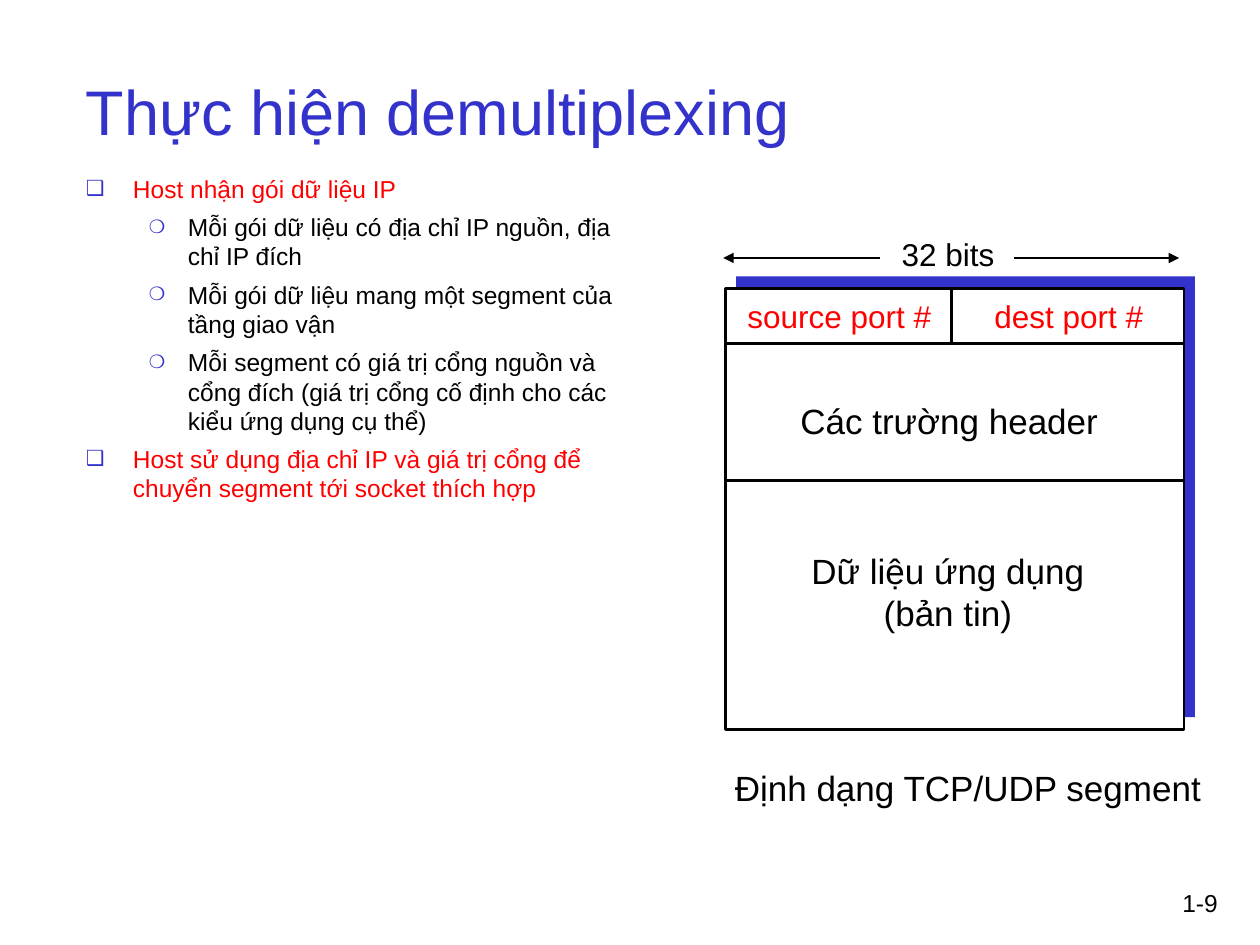
from lxml import etree
from pptx import Presentation
from pptx.dml.color import RGBColor
from pptx.enum.shapes import MSO_CONNECTOR, MSO_SHAPE
from pptx.enum.text import MSO_ANCHOR, MSO_AUTO_SIZE, PP_ALIGN
from pptx.oxml.ns import qn
from pptx.util import Cm, Pt

BLUE = RGBColor(0x33, 0x33, 0xCC)
RED = RGBColor(0xFF, 0x00, 0x00)
BLACK = RGBColor(0x00, 0x00, 0x00)
WHITE = RGBColor(0xFF, 0xFF, 0xFF)
LEFT, CENTER, RIGHT = PP_ALIGN.LEFT, PP_ALIGN.CENTER, PP_ALIGN.RIGHT
TOP, MIDDLE = MSO_ANCHOR.TOP, MSO_ANCHOR.MIDDLE
FIXED, GROW = MSO_AUTO_SIZE.NONE, MSO_AUTO_SIZE.SHAPE_TO_FIT_TEXT
STRAIGHT = MSO_CONNECTOR.STRAIGHT
RECTANGLE = MSO_SHAPE.RECTANGLE

BULLET_LEVELS = [
    {"char": "❑", "percent": 85, "margin": 0.95, "hanging": 0.95, "color": RED},
    {"char": "❍", "percent": 75, "margin": 2.06, "hanging": 0.79, "color": BLACK},
]


class SlideBuilder:
    font_name = "Arial"
    line_width = Pt(1.5)

    def __init__(self, slide):
        self.slide = slide

    def add_run(self, paragraph, text, size, color):
        run = paragraph.add_run()
        run.text = text
        for attribute, value in {"name": self.font_name, "size": Pt(size)}.items():
            setattr(run.font, attribute, value)
        run.font.color.rgb = color

    def frame(self, left, top, width, height, wrap=True, anchor=TOP):
        box = self.slide.shapes.add_textbox(Cm(left), Cm(top), Cm(width), Cm(height))
        frame_format = {
            "word_wrap": wrap,
            "auto_size": FIXED if wrap else GROW,
            "vertical_anchor": anchor,
        }
        for attribute, value in frame_format.items():
            setattr(box.text_frame, attribute, value)
        return box.text_frame

    def text(self, lines, area, size, color=BLACK, align=CENTER, **frame_format):
        frame = self.frame(*area, **frame_format)
        for index, line in enumerate(lines):
            paragraph = frame.add_paragraph() if index else frame.paragraphs[0]
            paragraph.alignment = align
            self.add_run(paragraph, line, size, color)

    def bullets(self, items, area, size):
        frame = self.frame(*area)
        for index, (level, line) in enumerate(items):
            style = BULLET_LEVELS[level]
            paragraph = frame.add_paragraph() if index else frame.paragraphs[0]
            paragraph.level = level
            properties = paragraph._p.get_or_add_pPr()
            properties.set("marL", str(Cm(style["margin"])))
            properties.set("indent", str(-Cm(style["hanging"])))
            bullet_color = etree.SubElement(properties, qn("a:buClr"))
            etree.SubElement(bullet_color, qn("a:srgbClr"), val=str(BLUE))
            etree.SubElement(properties, qn("a:buSzPct"), val=str(style["percent"] * 1000))
            etree.SubElement(properties, qn("a:buFont"), typeface=self.font_name)
            etree.SubElement(properties, qn("a:buChar"), char=style["char"])
            if index:
                paragraph.space_before = Pt(5)
            self.add_run(paragraph, line, size, style["color"])

    def rectangle(self, left, top, width, height, fill, outline=None):
        shape = self.slide.shapes.add_shape(
            RECTANGLE, Cm(left), Cm(top), Cm(width), Cm(height))
        shape.shadow.inherit = False
        shape.fill.solid()
        shape.fill.fore_color.rgb = fill
        if outline is None:
            shape.line.fill.background()
        else:
            shape.line.color.rgb = outline
            shape.line.width = self.line_width

    def line(self, x1, y1, x2, y2, arrow=False):
        connector = self.slide.shapes.add_connector(
            STRAIGHT, Cm(x1), Cm(y1), Cm(x2), Cm(y2))
        connector.line.color.rgb = BLACK
        connector.line.width = self.line_width
        if arrow:
            etree.SubElement(connector.line._ln, qn("a:tailEnd"), type="triangle")
        etree.SubElement(connector._element.spPr, qn("a:effectLst"))


def main():
    presentation = Presentation()
    presentation.slide_width, presentation.slide_height = Cm(25.4), Cm(19.05)
    builder = SlideBuilder(presentation.slides.add_slide(presentation.slide_layouts[6]))

    builder.text(["1-9"], (23.07, 17.78, 1.73, 1.27), 14, align=RIGHT)
    builder.text(["Thực hiện demultiplexing"], (1.48, 0.64, 21.59, 3.18), 36, BLUE,
                 LEFT, anchor=MIDDLE)
    builder.bullets([
        (0, "Host nhận gói dữ liệu IP"),
        (1, "Mỗi gói dữ liệu có địa chỉ IP nguồn, địa chỉ IP đích"),
        (1, "Mỗi gói dữ liệu mang một segment của tầng giao vận"),
        (1, "Mỗi segment có giá trị cổng nguồn và cổng đích "
            "(giá trị cổng cố định cho các kiểu ứng dụng cụ thể)"),
        (0, "Host sử dụng địa chỉ IP và giá trị cổng để "
            "chuyển segment tới socket thích hợp"),
    ], (1.48, 3.38, 11.43, 7.75), 14)

    left, top, width, height = 14.62, 5.82, 9.25, 8.89
    right = left + width
    ports_bottom, header_bottom, port_divider = 6.93, 9.68, 19.18
    builder.rectangle(left + 0.22, top - 0.25, width, height, BLUE)
    builder.rectangle(left, top, width, height, WHITE, BLACK)
    for row_bottom in (ports_bottom, header_bottom):
        builder.line(left, row_bottom, right, row_bottom)
    builder.line(port_divider, ports_bottom, port_divider, top)

    arrow_y = 5.2
    builder.line(20.45, arrow_y, 23.77, arrow_y, arrow=True)
    builder.line(17.73, arrow_y, 14.58, arrow_y, arrow=True)

    segment_labels = [
        (["32 bits"], (17.81, 4.62, 2.6, 1.02), 18, BLACK),
        (["source port #"], (14.81, 5.87, 4.22, 1.02), 18, RED),
        (["dest port #"], (19.79, 5.87, 3.51, 1.02), 18, RED),
        (["Các trường header "], (15.88, 7.92, 6.71, 1.12), 20, BLACK),
        (["Dữ liệu ứng dụng ", "(bản tin)"], (16.01, 10.95, 6.2, 1.96), 20, BLACK),
        (["Định dạng TCP/UDP segment"], (14.55, 15.32, 9.93, 1.12), 20, BLACK),
    ]
    for lines, area, size, color in segment_labels:
        builder.text(lines, area, size, color, wrap=False)

    presentation.save("out.pptx")


if __name__ == "__main__":
    main()
